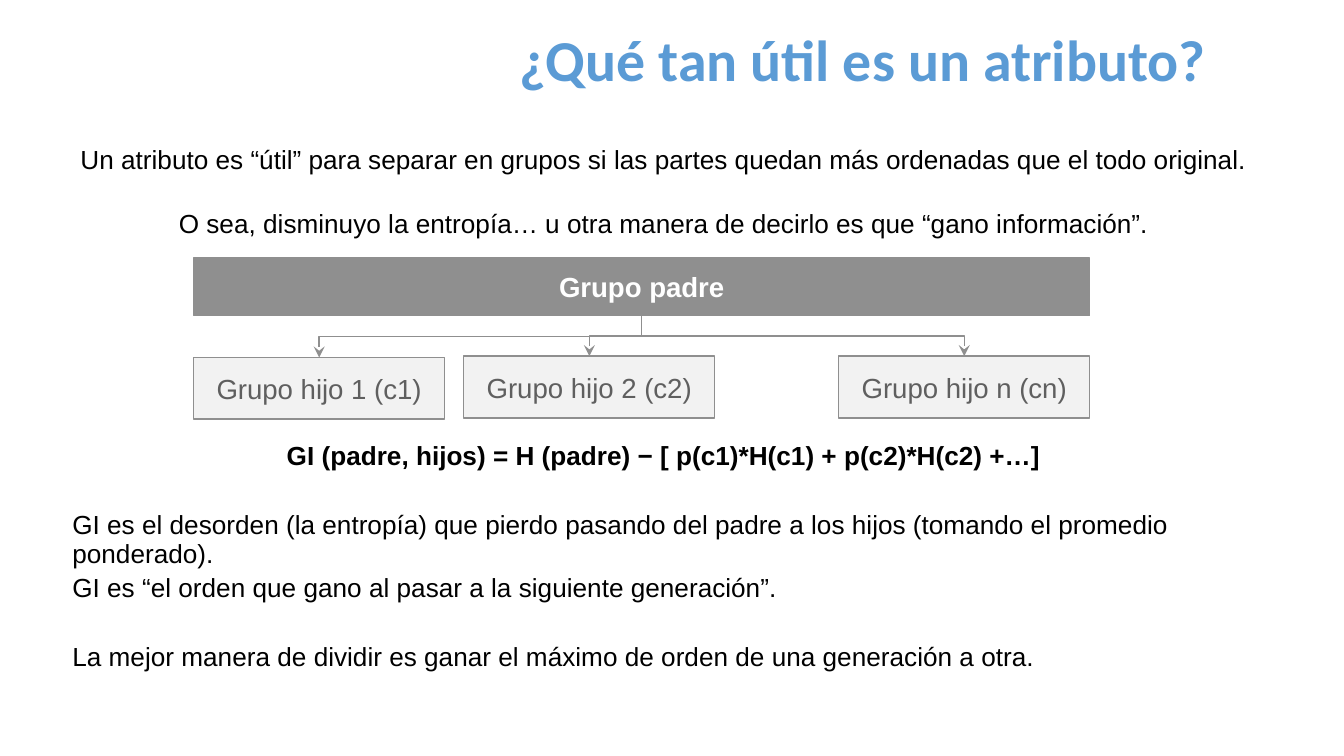
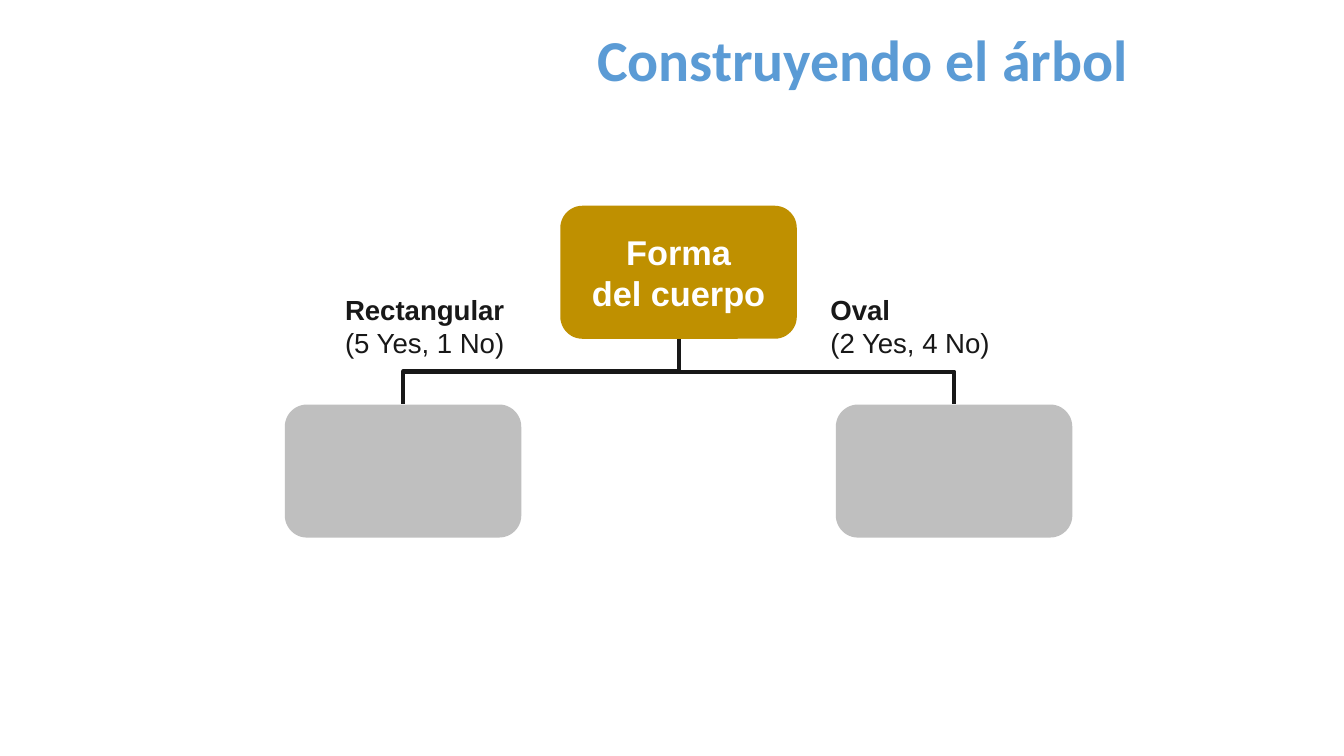
from typing import NamedTuple, Optional

from lxml import etree
from pptx import Presentation
from pptx.dml.color import RGBColor
from pptx.enum.shapes import MSO_CONNECTOR, MSO_SHAPE
from pptx.enum.text import MSO_ANCHOR, PP_ALIGN
from pptx.oxml.ns import qn
from pptx.util import Pt

BLUE = RGBColor(0x5B, 0x9B, 0xD5)
BLACK = RGBColor(0, 0, 0)
WHITE = RGBColor(0xFF, 0xFF, 0xFF)
INK = RGBColor(0x18, 0x18, 0x18)
GRAY = RGBColor(0x8F, 0x8F, 0x8F)
DARK = RGBColor(0x5F, 0x5F, 0x5F)
PALE = RGBColor(0xF2, 0xF2, 0xF2)
GOLD = RGBColor(0xBF, 0x90, 0x00)
SILVER = RGBColor(0xBF, 0xBF, 0xBF)
LEFT, CENTER = PP_ALIGN.LEFT, PP_ALIGN.CENTER


class Style(NamedTuple):
    size: float
    color: RGBColor
    bold: bool = False
    name: str = "Arial"


class Para(NamedTuple):
    text: str
    style: Style
    align: PP_ALIGN = CENTER
    before: float = 0
    line: float = 1.0


class Area(NamedTuple):
    left: float
    top: float
    width: float
    height: float

    @property
    def mid(self) -> float:
        return self.left + self.width / 2

    @property
    def base(self) -> float:
        return self.top + self.height


class Look(NamedTuple):
    kind: MSO_SHAPE
    fill: RGBColor
    line: Optional[RGBColor] = None
    inset: float = 0


TITLE = Style(31, BLUE, True, "Calibri")
BODY = Style(14, BLACK)
STRONG = Style(14, BLACK, True)
PARENT = Style(14.8, WHITE, True)
CHILD = Style(14.8, DARK)
ROOT = Style(18.4, WHITE, True)
BRANCH = Style(14.8, INK, True)
COUNT = Style(14.8, INK)

BAR = Look(MSO_SHAPE.RECTANGLE, GRAY, GRAY, 6.5)
BOX = Look(MSO_SHAPE.RECTANGLE, PALE, GRAY, 6.5)
NODE = Look(MSO_SHAPE.ROUNDED_RECTANGLE, GOLD)
LEAF = Look(MSO_SHAPE.ROUNDED_RECTANGLE, SILVER)


def write(frame, paras: list[Para], anchor=MSO_ANCHOR.TOP) -> None:
    frame.word_wrap = True
    frame.vertical_anchor = anchor
    for i, para in enumerate(paras):
        p = frame.add_paragraph() if i else frame.paragraphs[0]
        p.text = para.text
        form = {"alignment": para.align, "line_spacing": para.line,
                "space_before": Pt(para.before)}
        for key, value in form.items():
            setattr(p, key, value)
        look = {"size": Pt(para.style.size), "bold": para.style.bold,
                "name": para.style.name}
        for run in p.runs:
            for key, value in look.items():
                setattr(run.font, key, value)
            run.font.color.rgb = para.style.color


def add_text(slide, area: Area, paras: list[Para], anchor=MSO_ANCHOR.TOP) -> None:
    box = slide.shapes.add_textbox(*map(Pt, area))
    write(box.text_frame, paras, anchor)


def add_box(slide, area: Area, look: Look, para: Optional[Para] = None) -> None:
    shape = slide.shapes.add_shape(look.kind, *map(Pt, area))
    shape.shadow.inherit = False
    shape.fill.solid()
    shape.fill.fore_color.rgb = look.fill
    if look.line is None:
        shape.line.fill.background()
    else:
        shape.line.color.rgb = look.line
        shape.line.width = Pt(0.75)
    if para:
        frame = shape.text_frame
        for side in ("left", "right", "top", "bottom"):
            setattr(frame, f"margin_{side}", Pt(look.inset))
        write(frame, [para], MSO_ANCHOR.MIDDLE)


def add_elbow(slide, top: Area, low: Area, color: RGBColor, width: float,
              arrow: bool = False) -> None:
    """Bent line from the foot of one box down to the head of another."""
    run, drop = low.mid - top.mid, low.top - top.base
    x, y = (top.mid + low.mid) / 2, (top.base + low.top) / 2
    # The preset bends sideways, so it is laid flat and turned about its centre
    half = drop / 2 if run > 0 else -drop / 2
    ends = (x + half, y - abs(run) / 2, x - half, y + abs(run) / 2)
    link = slide.shapes.add_connector(MSO_CONNECTOR.ELBOW, *map(Pt, ends))
    turn = 270 if run > 0 else 90
    props = link.element.spPr
    props.find(qn("a:xfrm")).set("rot", str(turn * 60000))
    link.line.color.rgb = color
    link.line.width = Pt(width)
    if arrow:
        etree.SubElement(props.find(qn("a:ln")), qn("a:tailEnd"), type="stealth")
    etree.SubElement(props, qn("a:effectLst"))


def add_slide(deck, title: str):
    slide = deck.slides.add_slide(deck.slide_layouts[6])
    add_text(slide, Area(234, 14.4, 455.8, 38.9),
             [Para(title, TITLE, line=0.9)], MSO_ANCHOR.MIDDLE)
    return slide


def draw_gain(deck) -> None:
    slide = add_slide(deck, "¿Qué tan útil es un atributo?")
    # Explanation, with a gap left for the diagram
    rows = [
        ("Un atributo es “útil” para separar en grupos si las partes quedan más "
         "ordenadas que el todo original.", BODY, CENTER, 0),
        ("O sea, disminuyo la entropía… u otra manera de decirlo es que "
         "“gano información”.", BODY, CENTER, 19.3),
        ("GI (padre, hijos) = H (padre) − [ p(c1)*H(c1) + p(c2)*H(c2) +…]",
         STRONG, CENTER, 109.3),
        ("GI es el desorden (la entropía) que pierdo pasando del padre a los "
         "hijos (tomando el promedio ponderado).", BODY, LEFT, 22),
        ("GI es “el orden que gano al pasar a la siguiente generación”.",
         BODY, LEFT, 3.2),
        ("La mejor manera de dividir es ganar el máximo de orden de una "
         "generación a otra.", BODY, LEFT, 22),
    ]
    add_text(slide, Area(31.7, 74.9, 648, 320),
             [Para(*row, line=0.9) for row in rows])
    # Parent group and its children
    bar = Area(103.7, 138.2, 480.2, 31)
    add_box(slide, bar, BAR, Para("Grupo padre", PARENT))
    kids = [("1 (c1)", 103.7, 191.5), ("2 (c2)", 248.4, 190.8),
            ("n (cn)", 449.3, 190.8)]
    for name, left, top in kids:
        area = Area(left, top, 134.6, 33.1)
        add_box(slide, area, BOX, Para(f"Grupo hijo {name}", CHILD))
        add_elbow(slide, bar, area, GRAY, 0.75, arrow=True)


def draw_tree(deck) -> None:
    slide = add_slide(deck, "Construyendo el árbol")
    # Root with two mirrored leaves
    wide, high, step = 126.7, 71.3, 147.6
    root = Area(300.2, 110.2, wide, high)
    for side in (1, -1):
        leaf = Area(root.left + side * step, 216.7, wide, high)
        add_elbow(slide, root, leaf, INK, 2.25)
        add_box(slide, leaf, LEAF)
    add_box(slide, root, NODE, Para("Forma\vdel cuerpo", ROOT))
    # Branch labels
    for left, name, count in ((437.8, "Oval", "(2 Yes, 4 No)"),
                              (177.8, "Rectangular", "(5 Yes, 1 No)")):
        add_text(slide, Area(left, 153.4, 175, 43.2),
                 [Para(name, BRANCH, LEFT), Para(count, COUNT, LEFT)])


def main() -> None:
    deck = Presentation()
    deck.slide_width, deck.slide_height = Pt(720), Pt(405)
    draw_gain(deck)
    draw_tree(deck)
    deck.save("out.pptx")


if __name__ == "__main__":
    main()
